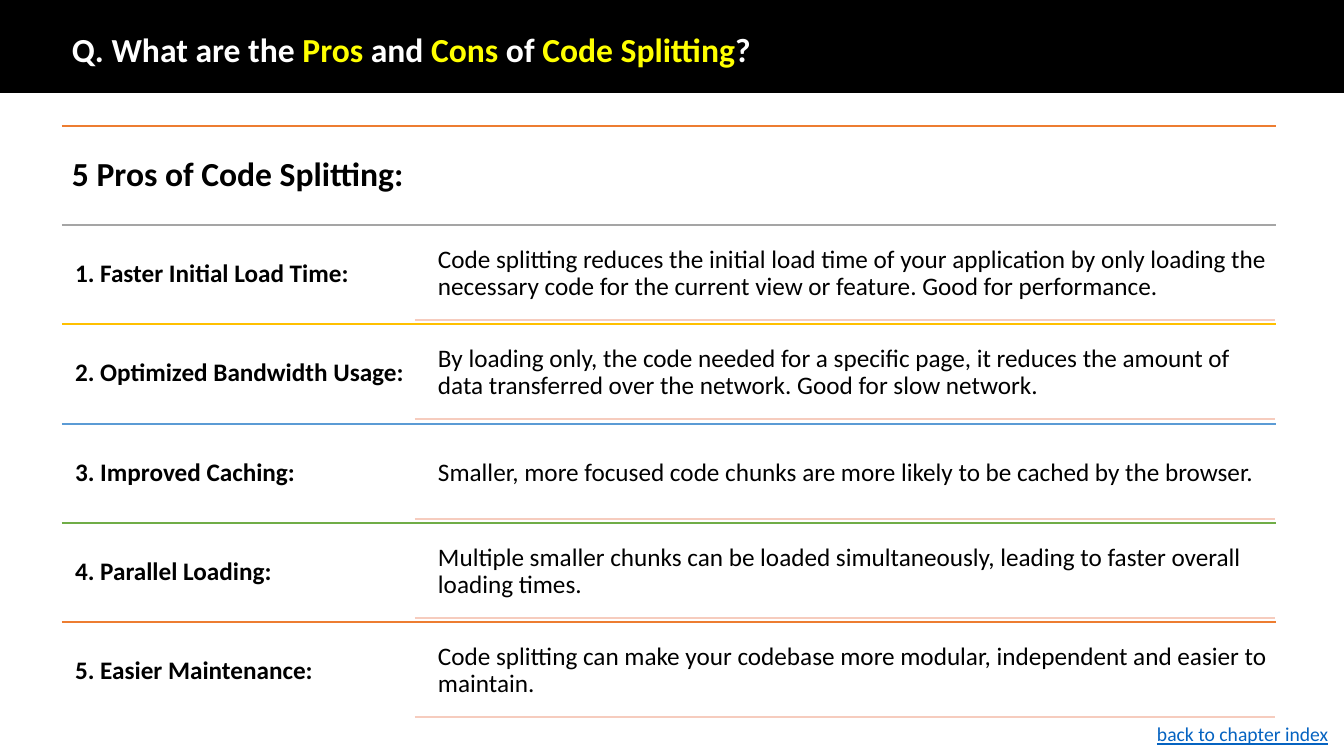
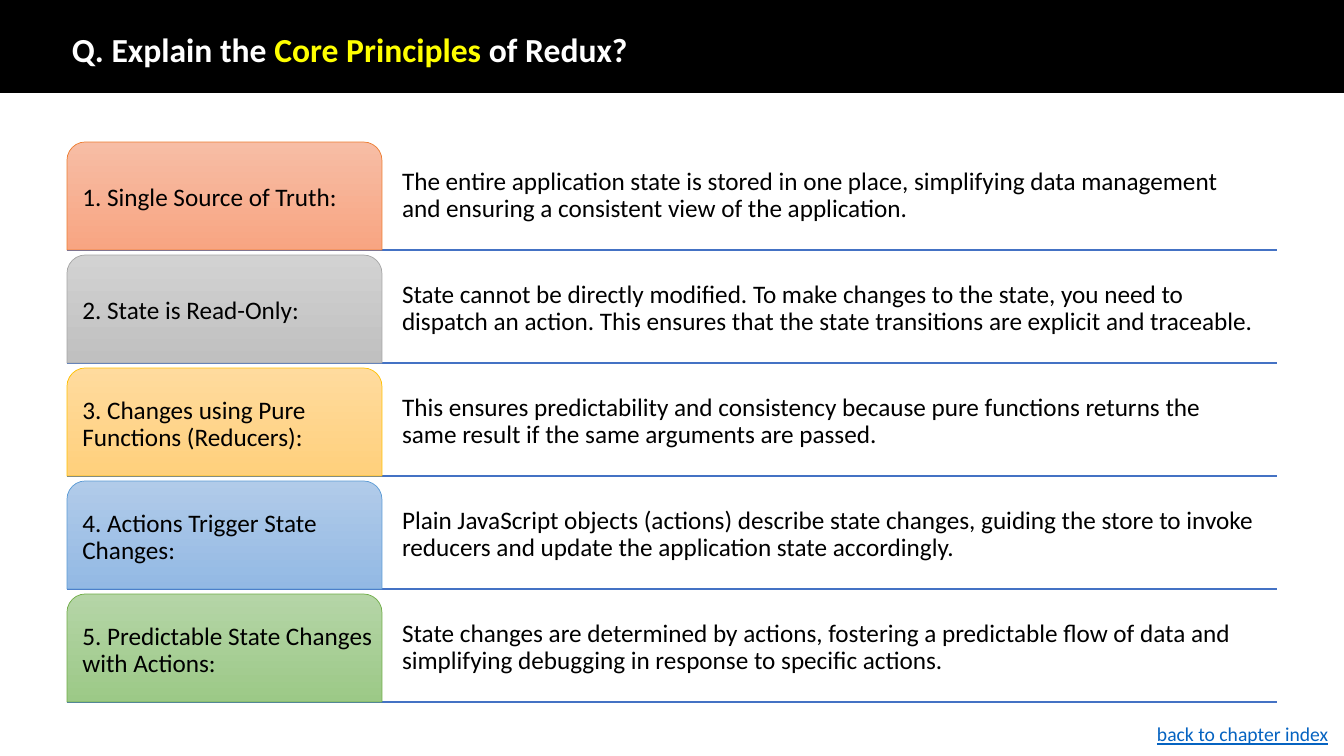
from dataclasses import dataclass
from itertools import cycle

from lxml.etree import SubElement
from pptx import Presentation
from pptx.dml.color import RGBColor
from pptx.enum.shapes import MSO_CONNECTOR, MSO_SHAPE
from pptx.enum.text import MSO_ANCHOR, PP_ALIGN
from pptx.oxml.ns import qn
from pptx.util import Emu, Pt


@dataclass(frozen=True)
class Theme:
    font: str = "Calibri"
    title_size: int = 24
    body_size: int = 18
    footer_size: int = 14
    black: str = "000000"
    white: str = "FFFFFF"
    highlight: str = "FFFF00"
    link: str = "0563C1"
    soft_rule: str = "F6CCBE"
    blue_rule: str = "4472C4"
    accents: tuple = ("ED7D31", "A5A5A5", "FFC000", "5B9BD5", "70AD47")
    gradients: tuple = (
        ("F7BDA5", "F8A582"),
        ("D2D2D2", "C0C0C0"),
        ("FFDB9E", "FFD07C"),
        ("B1CBE9", "93B9E4"),
        ("B5D5A7", "9CC987"),
    )


T = Theme()
WIDTH, HEIGHT = 1344, 756
FOOTER = "back to chapter index"

PROS_TITLE = [
    ("Q. What are the ", T.white),
    ("Pros", T.highlight),
    (" and ", T.white),
    ("Cons", T.highlight),
    (" of ", T.white),
    ("Code Splitting", T.highlight),
    ("?", T.white),
]
PROS_HEADING = "5 Pros of Code Splitting:"
PROS = [
    ("1. Faster Initial Load Time:",
     "Code splitting reduces the initial load time of your application by only loading the "
     "necessary code for the current view or feature. Good for performance."),
    ("2. Optimized Bandwidth Usage:",
     "By loading only, the code needed for a specific page, it reduces the amount of data "
     "transferred over the network. Good for slow network."),
    ("3. Improved Caching:",
     "Smaller, more focused code chunks are more likely to be cached by the browser."),
    ("4. Parallel Loading:",
     "Multiple smaller chunks can be loaded simultaneously, leading to faster overall "
     "loading times."),
    ("5. Easier Maintenance:",
     "Code splitting can make your codebase more modular, independent and easier to maintain."),
]

PRINCIPLES_TITLE = [
    ("Q. Explain the ", T.white),
    ("Core Principles", T.highlight),
    (" of Redux?", T.white),
]
PRINCIPLES = [
    ("1. Single Source of Truth:",
     "The entire application state is stored in one place, simplifying data management and "
     "ensuring a consistent view of the application."),
    ("2. State is Read-Only:",
     "State cannot be directly modified. To make changes to the state, you need to dispatch "
     "an action. This ensures that the state transitions are explicit and traceable."),
    ("3. Changes using Pure Functions (Reducers):",
     "This ensures predictability and consistency because pure functions returns the same "
     "result if the same arguments are passed."),
    ("4. Actions Trigger State Changes:",
     "Plain JavaScript objects (actions) describe state changes, guiding the store to invoke "
     "reducers and update the application state accordingly."),
    ("5. Predictable State Changes with Actions:",
     "State changes are determined by actions, fostering a predictable flow of data and "
     "simplifying debugging in response to specific actions."),
]


def px(n):
    return Emu(round(n * 914400 / 100.8))


def rgb(value):
    return RGBColor.from_string(value)


def write(sp, runs, size=T.body_size, bold=False, underline=False,
          insets=(7, 7, 7, 7), spacing=0.9):
    tf = sp.text_frame
    tf.word_wrap = True
    tf.vertical_anchor = MSO_ANCHOR.MIDDLE
    tf.margin_left, tf.margin_top, tf.margin_right, tf.margin_bottom = map(px, insets)
    p = tf.paragraphs[0]
    p.alignment = PP_ALIGN.LEFT
    p.line_spacing = spacing
    for text, color in runs:
        r = p.add_run()
        r.text = text
        r.font.name = T.font
        r.font.size = Pt(size)
        r.font.bold = bold
        r.font.underline = underline
        r.font.color.rgb = rgb(color)


def add_text(s, box, runs, **style):
    write(s.shapes.add_textbox(*map(px, box)), runs, **style)


def add_rule(s, x1, x2, y, color):
    line = s.shapes.add_connector(MSO_CONNECTOR.STRAIGHT, px(x1), px(y), px(x2), px(y))
    line.line.color.rgb = rgb(color)
    line.line.width = Pt(1)
    SubElement(line._element.spPr, qn("a:effectLst"))


def add_box(s, kind, box, line_color, line_width):
    sp = s.shapes.add_shape(kind, *map(px, box))
    sp.shadow.inherit = False
    sp.line.color.rgb = rgb(line_color)
    sp.line.width = Pt(line_width)
    return sp


def add_slide(prs, title):
    s = prs.slides.add_slide(prs.slide_layouts[6])
    band = add_box(s, MSO_SHAPE.RECTANGLE, (0, 0, WIDTH, 92), T.black, 1)
    band.fill.solid()
    band.fill.fore_color.rgb = rgb(T.black)
    add_text(s, (62, 34, 1228, 35), title, size=T.title_size, bold=True, insets=(10, 5, 10, 5))
    add_text(s, (1147, 717, 197, 34), [(FOOTER, T.link)], size=T.footer_size,
             underline=True, insets=(10, 5, 10, 5), spacing=1)
    return s


def build_pros(prs):
    s = add_slide(prs, PROS_TITLE)
    left, right, top, row_h = 62, 1276, 126, 99
    detail_left = 415
    tops = [round(top + i * 496 / 5) for i in range(len(PROS) + 1)]
    for y, color in zip(tops, cycle(T.accents)):
        add_rule(s, left, right, y, color)
    add_text(s, (left, top, 525, row_h), [(PROS_HEADING, T.black)],
             size=T.title_size, bold=True, insets=(10, 10, 10, 10))
    for y, (label, detail) in zip(tops[1:], PROS):
        add_text(s, (left, y, detail_left - left, row_h), [(label, T.black)],
                 bold=True, insets=(13, 7, 7, 7))
        add_text(s, (detail_left + 16, y + 4, 844, 90), [(detail, T.black)])
        add_rule(s, detail_left, right - 1, y + 95, T.soft_rule)


def build_principles(prs):
    s = add_slide(prs, PRINCIPLES_TITLE)
    left, right, top, pitch, card_h, card_w = 67, 1277, 142, 113, 108, 315
    detail_left = left + card_w
    for i, (label, detail) in enumerate(PRINCIPLES):
        y = top + i * pitch
        add_rule(s, left, right, y + card_h, T.blue_rule)
        add_text(s, (detail_left, y, right - detail_left, card_h), [(detail, T.black)],
                 insets=(20, 4, 20, 4))
        card = add_box(s, MSO_SHAPE.ROUND_2_SAME_RECTANGLE, (left, y, card_w, card_h),
                       T.accents[i], 0.5)
        card.adjustments[0] = 0.17
        card.fill.gradient()
        card.fill.gradient_angle = 270
        for stop, color in zip(card.fill.gradient_stops, T.gradients[i]):
            stop.color.rgb = rgb(color)
        write(card, [(label, T.black)], insets=(10, 4, 2, 4))


def main():
    prs = Presentation()
    prs.slide_width, prs.slide_height = px(WIDTH), px(HEIGHT)
    build_pros(prs)
    build_principles(prs)
    prs.save("out.pptx")


if __name__ == "__main__":
    main()
